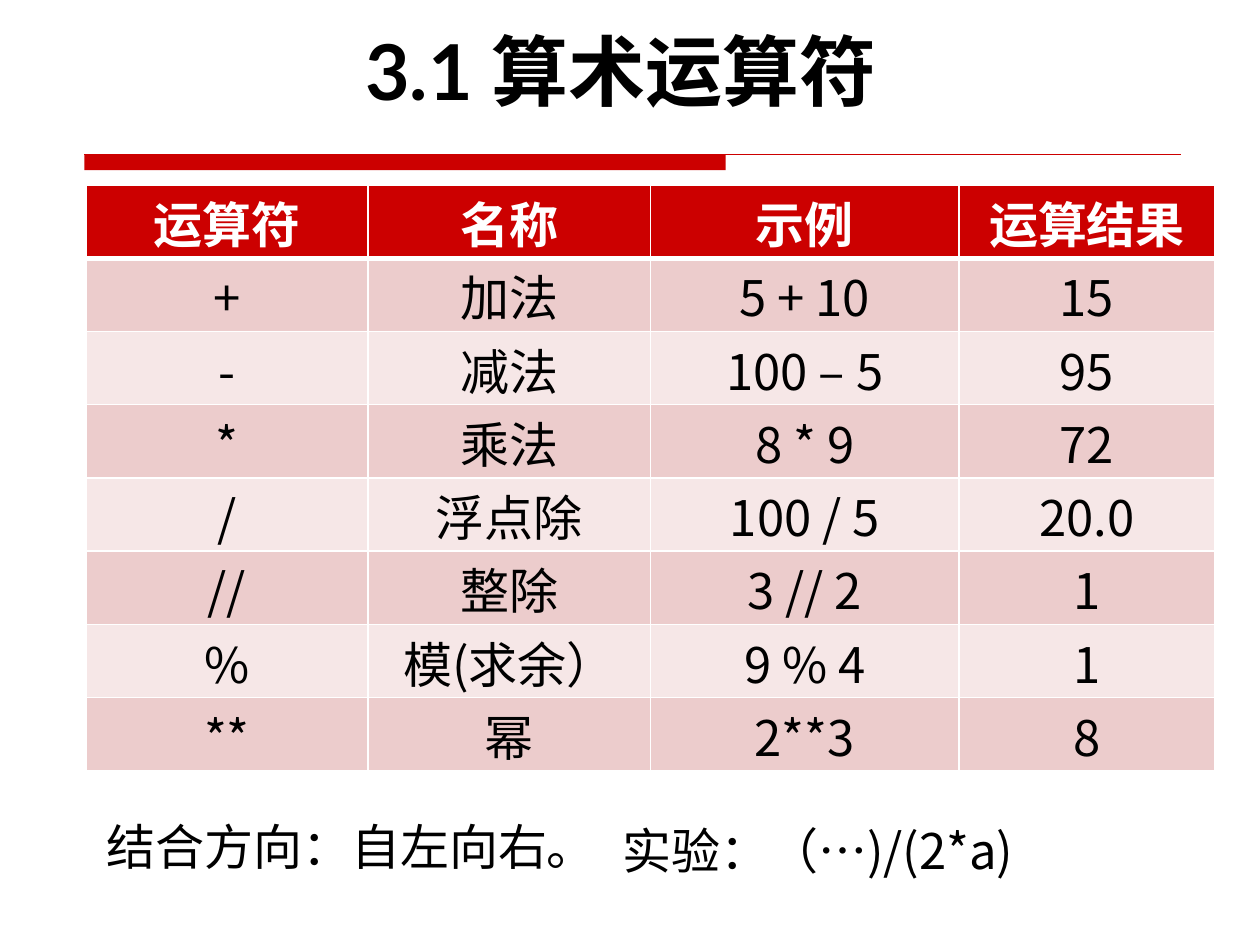
import pptx
import pptx.dml.color
import pptx.enum.shapes
import pptx.enum.text
import pptx.oxml
import pptx.oxml.ns
import pptx.util

Cm = pptx.util.Cm
Pt = pptx.util.Pt
RED, WHITE, BLACK = "CC0000", "FFFFFF", "000000"
BANDS = ("ECCCCC", "F6E7E7")
CJK_FONT = "Noto Sans CJK SC"
COLUMN_SHARES = (2.24, 2.24, 2.45, 2.03)
OPERATORS = [
    ("运算符", "名称", "示例", "运算结果"),
    ("+", "加法", "5 + 10", "15"),
    ("-", "减法", "100 – 5", "95"),
    ("*", "乘法", "8 * 9", "72"),
    ("/", "浮点除", "100 / 5", "20.0"),
    ("//", "整除", "3 // 2", "1"),
    ("%", "模(求余）", "9 % 4", "1"),
    ("**", "幂", "2**3", "8"),
]


def color(value):
    return pptx.dml.color.RGBColor.from_string(value)


def paint(fill, value):
    fill.solid()
    fill.fore_color.rgb = color(value)


def add_span(para, text, size, font=CJK_FONT, ink=BLACK, bold=False):
    span = para.add_run()
    span.text = text
    span.font.size = Pt(size)
    span.font.name = font
    span.font.bold = bold
    span.font.color.rgb = color(ink)
    east_asian = pptx.oxml.ns.qn("a:ea")
    span.font._element.makeelement(east_asian)
    pptx.oxml.xmlchemy.etree.SubElement(
        span.font._element, east_asian, typeface=CJK_FONT)


def place(shape, box):
    shape.left, shape.top, shape.width, shape.height = map(Cm, box)


def set_title(page, box, text):
    title = page.shapes.title
    place(title, box)
    frame = title.text_frame
    frame.word_wrap = True
    frame.auto_size = pptx.enum.text.MSO_AUTO_SIZE.NONE
    frame.vertical_anchor = pptx.enum.text.MSO_ANCHOR.MIDDLE
    para = frame.paragraphs[0]
    para.alignment = pptx.enum.text.PP_ALIGN.LEFT
    add_span(para, text, 44, "Lato", bold=True)


def add_divider(page, box, bar_share):
    """Thin line across the box, with a thick bar under its left part."""
    left, top, width, height = box
    line = page.shapes.add_connector(
        pptx.enum.shapes.MSO_CONNECTOR.STRAIGHT,
        Cm(left), Cm(top), Cm(left + width), Cm(top))
    line.line.color.rgb = color(RED)
    line.line.width = Pt(0.75)
    line._element.spPr.append(pptx.oxml.parse_xml(
        f'<a:effectLst {pptx.oxml.ns.nsdecls("a")}/>'))
    bar = page.shapes.add_shape(
        pptx.enum.shapes.MSO_SHAPE.RECTANGLE,
        Cm(left), Cm(top), Cm(width * bar_share), Cm(height))
    bar.shadow.inherit = False
    paint(bar.fill, RED)
    bar.line.fill.background()


def set_borders(cell, widths):
    """Draw white cell borders; widths maps each side to points."""
    properties = cell._tc.get_or_add_tcPr()
    for side in "LRTB":
        properties.append(pptx.oxml.parse_xml(
            f'<a:ln{side} {pptx.oxml.ns.nsdecls("a")} w="{Pt(widths[side])}">'
            f'<a:solidFill><a:srgbClr val="{WHITE}"/></a:solidFill>'
            f'</a:ln{side}>'))


def add_operator_table(page, box):
    left, top, width, height = box
    table = page.shapes.add_table(
        len(OPERATORS), len(COLUMN_SHARES), *map(Cm, box)).table
    for column, share in zip(table.columns, COLUMN_SHARES):
        column.width = Cm(width * share / sum(COLUMN_SHARES))
    for row_index, texts in enumerate(OPERATORS):
        header = row_index == 0
        table.rows[row_index].height = Cm(height / len(OPERATORS))
        for column_index, text in enumerate(texts):
            cell = table.cell(row_index, column_index)
            cell.margin_top, cell.margin_bottom = Cm(0.04), 0
            set_borders(cell, {"L": 1, "R": 1,
                               "T": 3 if row_index == 1 else 1,
                               "B": 3 if header else 1})
            paint(cell.fill, RED if header else BANDS[(row_index - 1) % 2])
            para = cell.text_frame.paragraphs[0]
            para.alignment = pptx.enum.text.PP_ALIGN.CENTER
            if header:
                add_span(para, text, 28, "Times New Roman", WHITE, bold=True)
            else:
                add_span(para, text, 28)


def add_note(page, box, text):
    frame = page.shapes.add_textbox(*map(Cm, box)).text_frame
    frame.word_wrap = True
    add_span(frame.paragraphs[0], text, 28)


def main():
    deck = pptx.Presentation()
    deck.slide_width, deck.slide_height = Cm(25.4), Cm(19.05)
    page = deck.slides.add_slide(deck.slide_layouts.get_by_name("Title Only"))
    add_divider(page, (1.7, 3.12, 22.1, 0.31), 0.585)
    set_title(page, (7.11, 0.33, 12.7, 2.13), "3.1 算术运算符")
    add_operator_table(page, (1.73, 3.73, 22.76, 11.81))
    add_note(page, (1.9, 16.33, 10.8, 1.45), "结合方向：自左向右。")
    add_note(page, (12.3, 16.41, 10.8, 1.45), "实验：（…)/(2*a)")
    deck.save("out.pptx")


if __name__ == "__main__":
    main()
